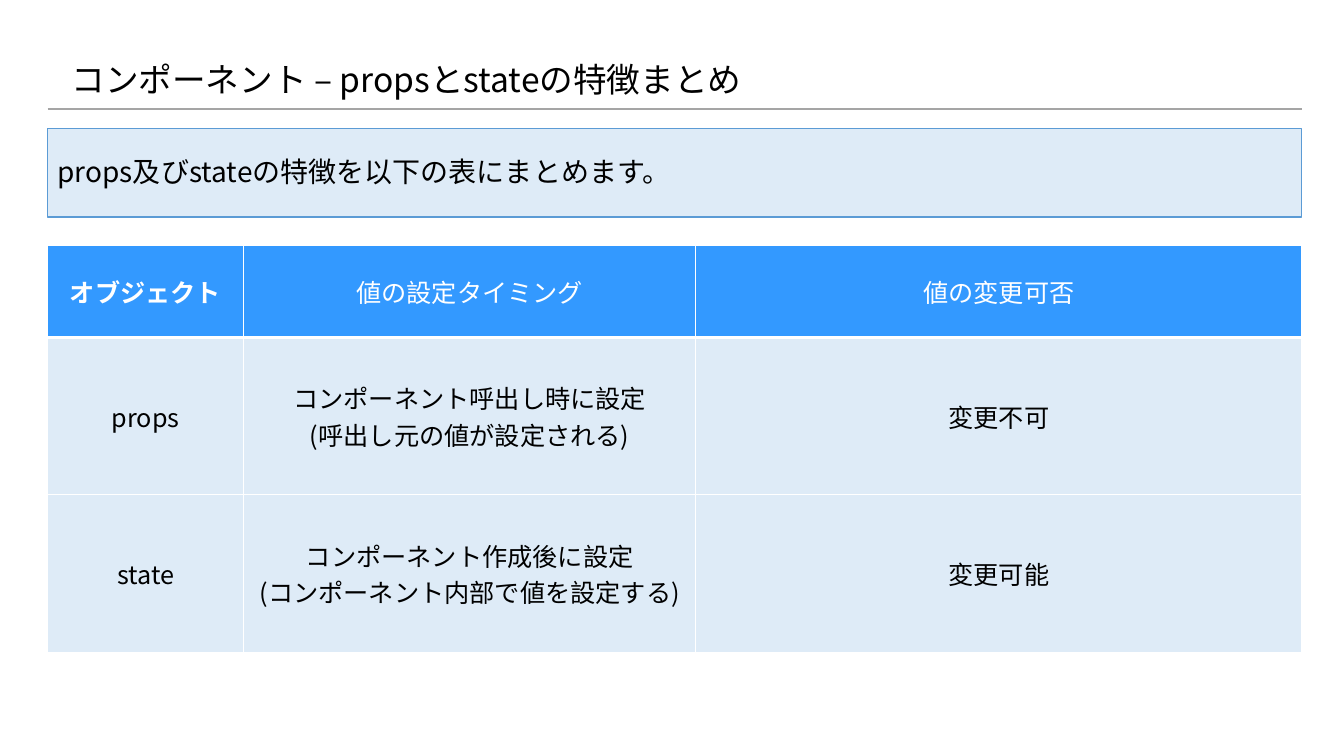
from typing import NamedTuple

from lxml import etree
from pptx import Presentation
from pptx.dml.color import RGBColor
from pptx.enum.shapes import MSO_CONNECTOR, MSO_SHAPE
from pptx.enum.text import MSO_ANCHOR, PP_ALIGN
from pptx.oxml.ns import qn
from pptx.util import Pt

LEFT, CENTER = PP_ALIGN.LEFT, PP_ALIGN.CENTER
MIDDLE = MSO_ANCHOR.MIDDLE
RECT = MSO_SHAPE.RECTANGLE
STRAIGHT = MSO_CONNECTOR.STRAIGHT

WHITE = RGBColor(0xFF, 0xFF, 0xFF)
BLACK = RGBColor(0x00, 0x00, 0x00)
GRAY = RGBColor(0xA5, 0xA5, 0xA5)
PALE_BLUE = RGBColor(0xDE, 0xEB, 0xF7)
EDGE_BLUE = RGBColor(0x5B, 0x9B, 0xD5)
HEADER_BLUE = RGBColor(0x33, 0x99, 0xFF)
FONT = "Noto Sans CJK JP"

MARGIN, WIDTH = 34, 896
COLUMNS = (140, 323, 433)
THIN, THICK = 1, 3


class Row(NamedTuple):
    height: float
    cells: tuple[str, ...]
    fill: RGBColor = PALE_BLUE
    color: RGBColor = BLACK
    top: float = THIN
    bottom: float = THIN
    bold_first: bool = False


ROWS = (
    Row(66, ("オブジェクト", "値の設定タイミング", "値の変更可否"),
        HEADER_BLUE, WHITE, bottom=THICK, bold_first=True),
    Row(112.5, ("props", "コンポーネント呼出し時に設定\n(呼出し元の値が設定される)", "変更不可"),
        top=THICK),
    Row(112.5, ("state", "コンポーネント作成後に設定\n(コンポーネント内部で値を設定する)", "変更可能")),
)


def write(tf, text: str, *, size: float, color: RGBColor = BLACK, bold: bool = False,
          align=LEFT, spacing: float = 1.0, before: float = 0) -> None:
    tf.word_wrap = True
    for i, line in enumerate(text.split("\n")):
        p = tf.add_paragraph() if i else tf.paragraphs[0]
        p.alignment = align
        p.line_spacing = spacing
        p.space_before = Pt(before)
        r = p.add_run()
        r.text = line
        r.font.size = Pt(size)
        r.font.bold = bold
        r.font.name = FONT
        r.font.color.rgb = color
        etree.SubElement(r.font._element, qn("a:ea"), typeface=FONT)


def add_border(cell, side: str, width: float) -> None:
    ln = etree.SubElement(cell._tc.get_or_add_tcPr(), qn(f"a:ln{side}"), w=str(Pt(width)))
    fill = etree.SubElement(ln, qn("a:solidFill"))
    etree.SubElement(fill, qn("a:srgbClr"), val=str(WHITE))


def fill_row(table, index: int, row: Row) -> None:
    table.rows[index].height = Pt(row.height)
    for col, text in enumerate(row.cells):
        cell = table.cell(index, col)
        cell.vertical_anchor = MIDDLE
        for side, width in zip("LRTB", (THIN, THIN, row.top, row.bottom)):
            add_border(cell, side, width)
        cell.fill.solid()
        cell.fill.fore_color.rgb = row.fill
        write(cell.text_frame, text, size=18, color=row.color, align=CENTER,
              bold=row.bold_first and col == 0)


prs = Presentation()
prs.slide_width, prs.slide_height = Pt(960), Pt(540)
s = prs.slides.add_slide(prs.slide_layouts[6])

rule = s.shapes.add_connector(STRAIGHT, Pt(MARGIN), Pt(78), Pt(MARGIN + WIDTH), Pt(78))
rule.line.color.rgb = GRAY
rule.line.width = Pt(1.5)
etree.SubElement(rule._element.spPr, qn("a:effectLst"))

title = s.shapes.add_textbox(Pt(44), Pt(22), Pt(770), Pt(72))
title.text_frame.vertical_anchor = MIDDLE
write(title.text_frame, "コンポーネント – propsとstateの特徴まとめ", size=24, spacing=0.9)

summary = s.shapes.add_shape(RECT, Pt(MARGIN), Pt(92), Pt(WIDTH), Pt(63))
summary.shadow.inherit = False
summary.fill.solid()
summary.fill.fore_color.rgb = PALE_BLUE
summary.line.color.rgb = EDGE_BLUE
summary.line.width = Pt(0.75)
summary.text_frame.vertical_anchor = MIDDLE
write(summary.text_frame, "props及びstateの特徴を以下の表にまとめます。",
      size=20, spacing=0.9, before=10)

table = s.shapes.add_table(len(ROWS), len(COLUMNS), Pt(MARGIN), Pt(175), Pt(WIDTH),
                           Pt(sum(row.height for row in ROWS))).table
for column, width in zip(table.columns, COLUMNS):
    column.width = Pt(width)
for index, row in enumerate(ROWS):
    fill_row(table, index, row)

prs.save("out.pptx")
